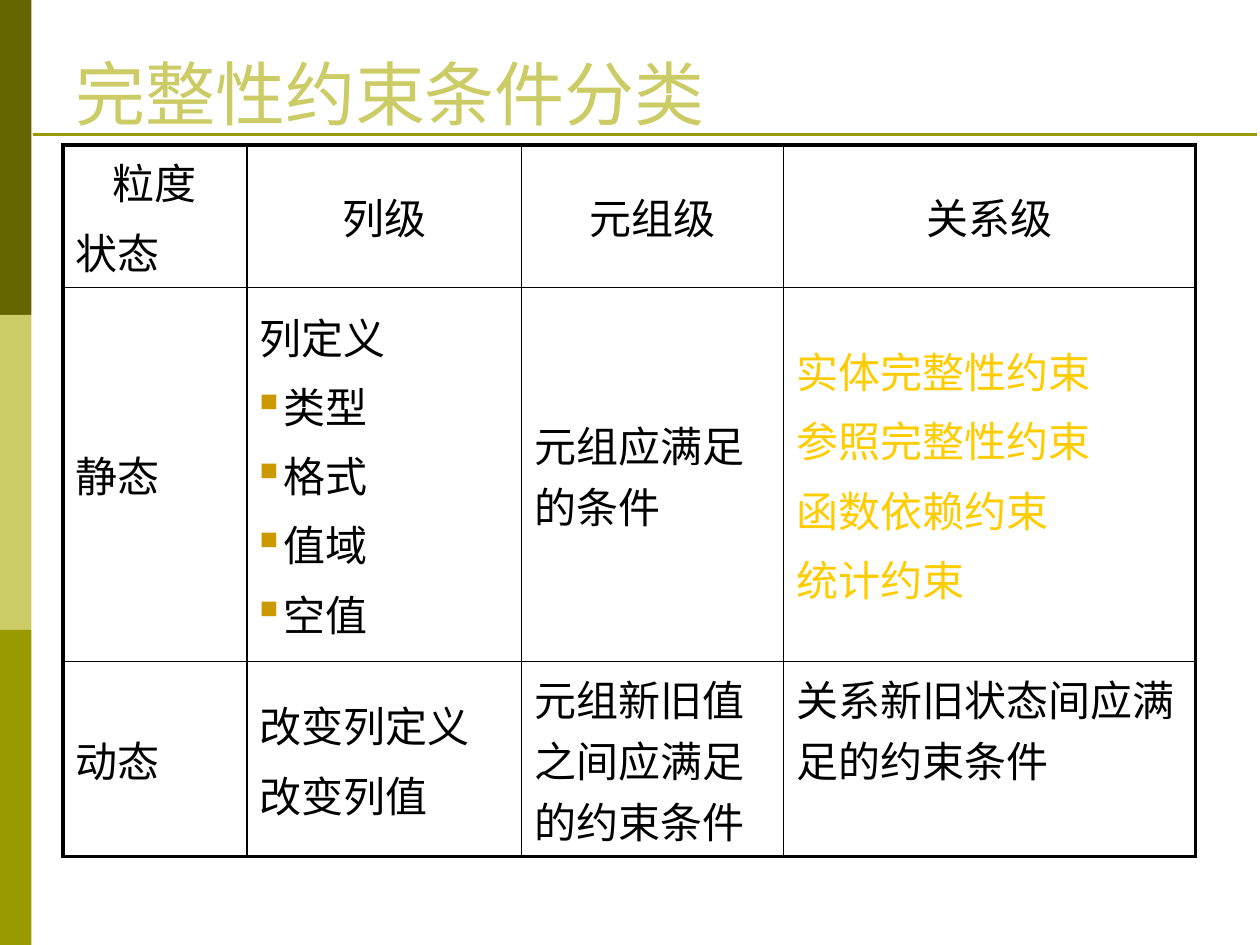
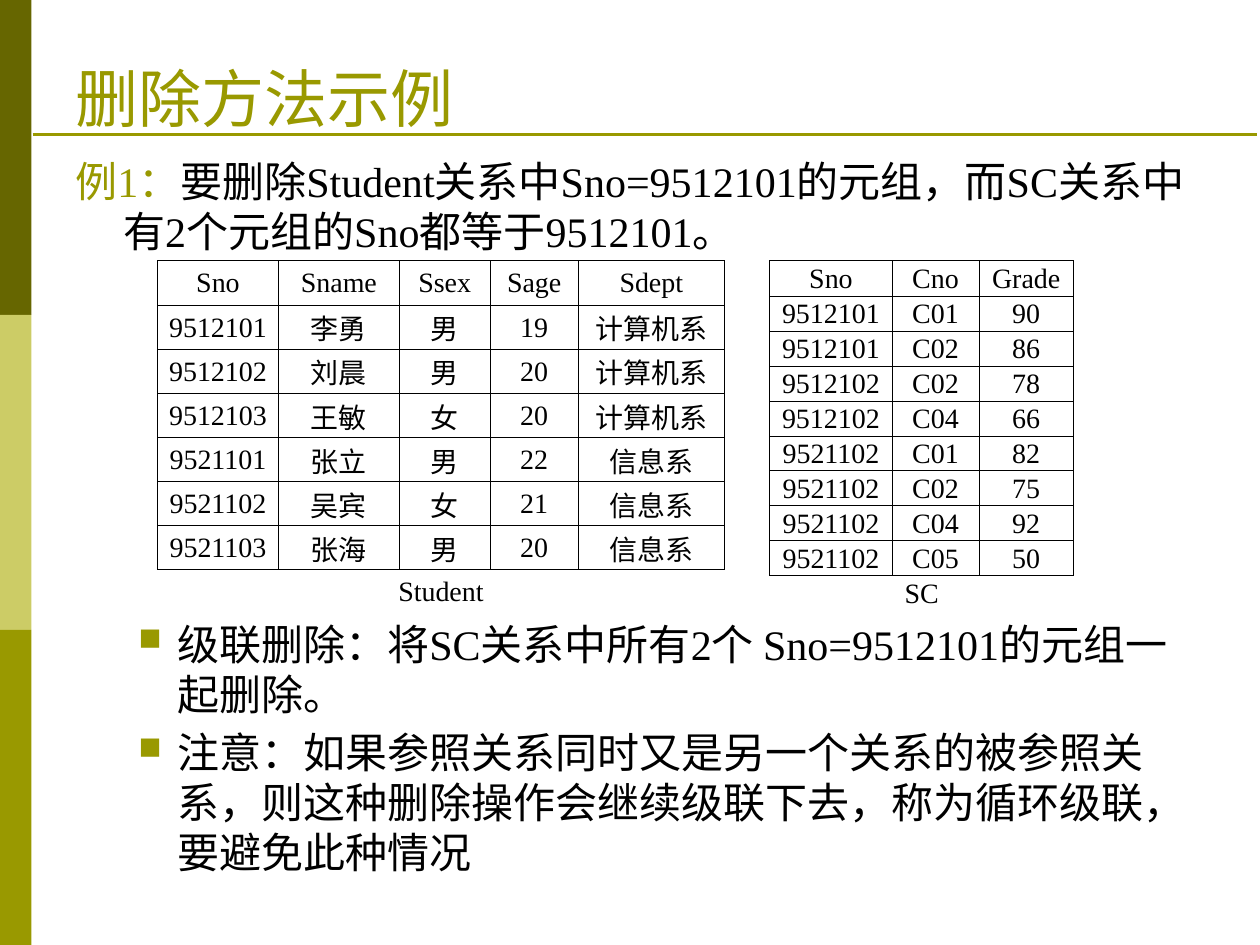
from lxml import etree
from pptx import Presentation
from pptx.dml.color import RGBColor
from pptx.enum.shapes import MSO_CONNECTOR, MSO_SHAPE
from pptx.enum.text import MSO_ANCHOR, PP_ALIGN
from pptx.oxml.ns import qn
from pptx.util import Inches, Pt

LINE, RECT = MSO_CONNECTOR.STRAIGHT, MSO_SHAPE.RECTANGLE
TOP, MID, LOW = MSO_ANCHOR.TOP, MSO_ANCHOR.MIDDLE, MSO_ANCHOR.BOTTOM
LEFT, CENTER = PP_ALIGN.LEFT, PP_ALIGN.CENTER
SERIF, SANS = "Times New Roman", "Roboto"
HUE = {"dark": "666600", "pale": "CCCC66", "olive": "999900", "black": "000000",
       "gold": "FFCC00", "amber": "CC9900"}

STUDENT = [
    ["Sno", "Sname", "Ssex", "Sage", "Sdept"],
    ["9512101", "李勇", "男", "19", "计算机系"],
    ["9512102", "刘晨", "男", "20", "计算机系"],
    ["9512103", "王敏", "女", "20", "计算机系"],
    ["9521101", "张立", "男", "22", "信息系"],
    ["9521102", "吴宾", "女", "21", "信息系"],
    ["9521103", "张海", "男", "20", "信息系"],
]
SCORE = [
    ["Sno", "Cno", "Grade"],
    ["9512101", "C01", "90"],
    ["9512101", "C02", "86"],
    ["9512102", "C02", "78"],
    ["9512102", "C04", "66"],
    ["9521102", "C01", "82"],
    ["9521102", "C02", "75"],
    ["9521102", "C04", "92"],
    ["9521102", "C05", "50"],
]
RULES = [
    [["粒度", "状态"], ["列级"], ["元组级"], ["关系级"]],
    [["静态"], ["列定义", "类型", "格式", "值域", "空值"], ["元组应满足的条件"],
     ["实体完整性约束", "参照完整性约束", "函数依赖约束", "统计约束"]],
    [["动态"], ["改变列定义", "改变列值"], ["元组新旧值之间应满足的约束条件"],
     ["关系新旧状态间应满足的约束条件"]],
]


def tint(hue):
    """Return the named colour."""
    return RGBColor.from_string(HUE[hue])


def indent(para, left, first):
    """Set the left margin and first-line indent of a paragraph."""
    props = para._p.get_or_add_pPr()
    props.set("marL", str(Inches(left)))
    props.set("indent", str(Inches(first)))


def bullet(para, hue, size):
    """Give a paragraph a square bullet, sized in percent."""
    props = para._p.get_or_add_pPr()
    color = etree.SubElement(props, qn("a:buClr"))
    etree.SubElement(color, qn("a:srgbClr"), val=HUE[hue])
    etree.SubElement(props, qn("a:buSzPct"), val=str(size * 1000))
    etree.SubElement(props, qn("a:buChar"), char="■")


def write(frame, lines, size=24, font=SERIF, hue="black", align=LEFT, gap=4.8, pitch=None):
    """Write paragraphs, each a string or a list of (text, hue) runs."""
    for i, line in enumerate(lines):
        para = frame.add_paragraph() if i else frame.paragraphs[0]
        para.alignment = align
        if i:
            para.space_before = Pt(gap)
        if pitch:
            para.line_spacing = Pt(pitch)
        for text, shade in [(line, hue)] if isinstance(line, str) else line:
            run = para.add_run()
            run.text = text
            run.font.size, run.font.name = Pt(size), font
            run.font.color.rgb = tint(shade)
    return frame.paragraphs


def box(slide, x, y, w, h, anchor=TOP):
    """Add a wrapping text box and return its frame."""
    frame = slide.shapes.add_textbox(*map(Inches, (x, y, w, h))).text_frame
    frame.word_wrap, frame.vertical_anchor = True, anchor
    return frame


def base(deck, title, size, hue):
    """Add a slide with the side bands, rule and title."""
    slide = deck.slides.add_slide(deck.slide_layouts[6])
    high = 7.5 / 3
    for i, shade in enumerate(("dark", "pale", "olive")):
        band = slide.shapes.add_shape(RECT, 0, Inches(i * high), Inches(0.25), Inches(high))
        band.shadow.inherit = False
        band.fill.solid()
        band.fill.fore_color.rgb = tint(shade)
        band.line.fill.background()
    rule = slide.shapes.add_connector(LINE, *map(Inches, (0.26, 1.07, 9.98, 1.07)))
    rule.line.color.rgb, rule.line.width = tint("olive"), Pt(1.5)
    etree.SubElement(rule._element.spPr, qn("a:effectLst"))
    frame = box(slide, 0.5, 0.3, 9, 0.77, LOW)
    frame.margin_bottom = 0
    write(frame, [title], size=size, hue=hue)
    return slide


def border(cell, **widths):
    """Draw the cell edges L, R, T and B; a width of 0 hides one."""
    props = cell._tc.get_or_add_tcPr()
    for side, width in widths.items():
        edge = etree.SubElement(props, qn("a:ln" + side), w=str(Pt(width)))
        if width:
            fill = etree.SubElement(edge, qn("a:solidFill"))
            etree.SubElement(fill, qn("a:srgbClr"), val=HUE["black"])
        else:
            etree.SubElement(edge, qn("a:noFill"))
    cell.fill.background()


def grid(slide, x, y, cols, rows):
    """Add a plain table with the given column widths and row heights."""
    table = slide.shapes.add_table(len(rows), len(cols), *map(
        Inches, (x, y, sum(cols), sum(rows)))).table
    table.first_row = table.horz_banding = False
    for col, width in zip(table.columns, cols):
        col.width = Inches(width)
    for row, height in zip(table.rows, rows):
        row.height = Inches(height)
    return table


def matrix(slide, x, y):
    """Add the table of constraint classes."""
    table = grid(slide, x, y, [1.46, 2.18, 2.08, 3.27], [1.13, 2.97, 1.55])
    for r, row in enumerate(RULES):
        for c, lines in enumerate(row):
            cell = table.cell(r, c)
            border(cell, L=1 if c else 2.25, R=2.25 if c == 3 else 1,
                   T=1 if r else 2.25, B=2.25 if r == 2 else 1)
            cell.vertical_anchor = TOP if (r, c) in ((0, 0), (2, 2), (2, 3)) else MID
            write(cell.text_frame, lines, font=SANS,
                  hue="gold" if (r, c) == (1, 3) else "black",
                  align=CENTER if r == 0 and c else LEFT)
    indent(table.cell(0, 0).text_frame.paragraphs[0], 0.29, 0)
    for para in table.cell(1, 1).text_frame.paragraphs[1:]:
        indent(para, 0.19, -0.19)
        bullet(para, "amber", 60)


def records(slide, x, y, cols, rows, data, name):
    """Add a table of records with its name in an open last row."""
    table = grid(slide, x, y, cols, rows)
    last = len(data)
    table.cell(last, 0).merge(table.cell(last, len(cols) - 1))
    for r, row in enumerate(data + [[name] + [""] * (len(cols) - 1)]):
        for c, text in enumerate(row):
            cell = table.cell(r, c)
            side = 0 if r == last else 0.5
            border(cell, L=side, R=side, T=0.5, B=side)
            cell.margin_left = cell.margin_right = cell.margin_top = Inches(0.01)
            cell.margin_bottom = 0
            cell.vertical_anchor = MID
            if text:
                write(cell.text_frame, [text], size=16, align=CENTER)


def classes(deck):
    """Build the slide on constraint classes."""
    slide = base(deck, "完整性约束条件分类", 40, "pale")
    matrix(slide, 0.5, 1.15)


def example(deck):
    """Build the slide on the deletion example."""
    slide = base(deck, "删除方法示例", 36, "olive")
    intro = [("例1：", "olive"),
             ("要删除Student关系中Sno=9512101的元组，而SC关系中有2个元组的Sno都等于9512101。", "black")]
    for para in write(box(slide, 0.5, 1.19, 9, 0.9), [intro], pitch=28.6):
        indent(para, 0.38, -0.38)
    notes = ["级联删除：将SC关系中所有2个 Sno=9512101的元组一起删除。",
             "注意：如果参照关系同时又是另一个关系的被参照关系，则这种删除操作会继续级联下去，"
             "称为循环级联，要避免此种情况"]
    for para in write(box(slide, 0.5, 4.86, 9, 2.16), notes, pitch=28.6):
        indent(para, 0.81, -0.31)
        bullet(para, "olive", 75)
    records(slide, 1.25, 2.07, [0.96, 0.96, 0.72, 0.7, 1.16], [0.35] * 8, STUDENT, "Student")
    records(slide, 6.11, 2.07, [0.97, 0.69, 0.75], [0.28] * 2 + [0.26] * 8, SCORE, "SC")


def main():
    """Build and save the slides."""
    deck = Presentation()
    deck.slide_width, deck.slide_height = Inches(10), Inches(7.5)
    classes(deck)
    example(deck)
    deck.save("out.pptx")


if __name__ == "__main__":
    main()
